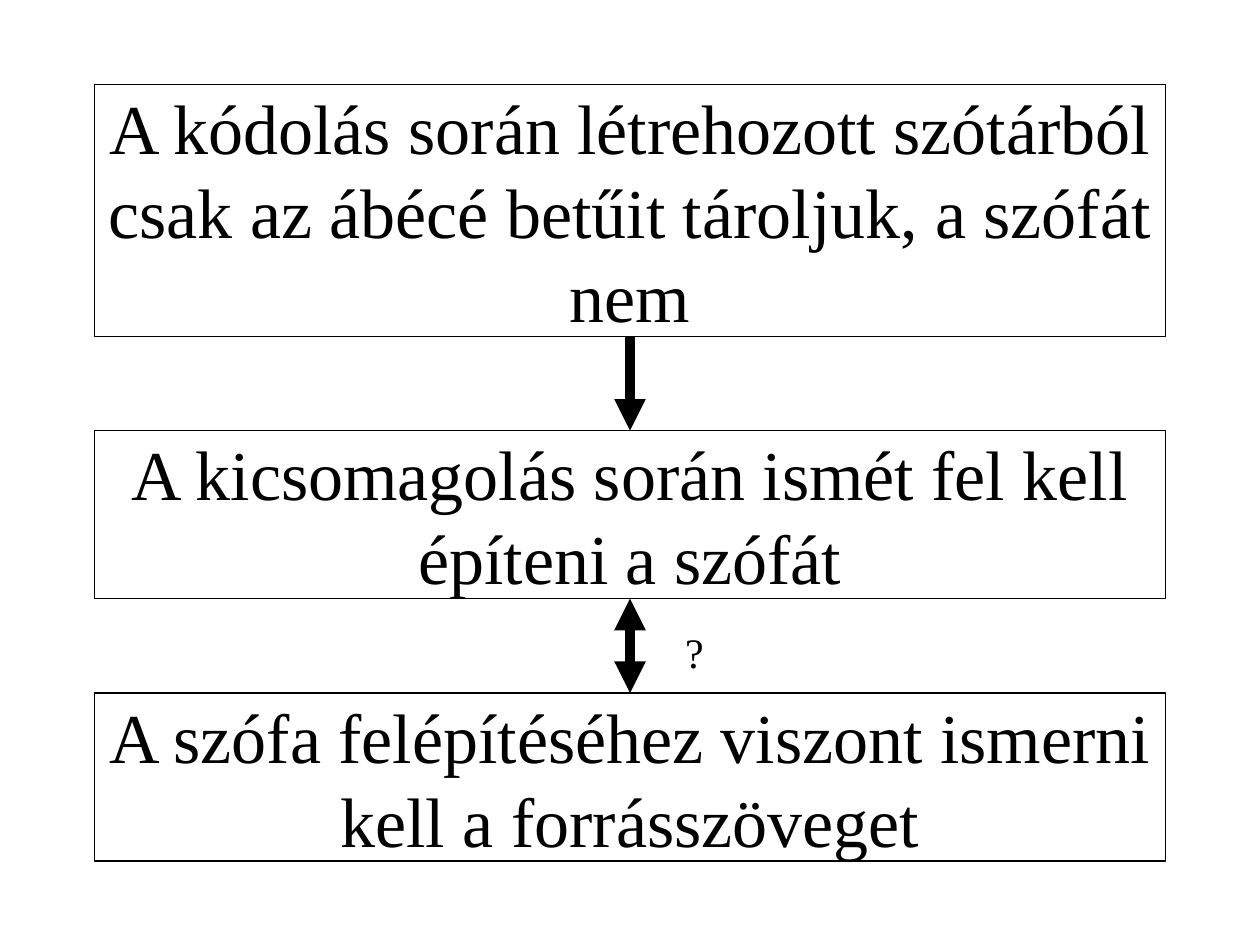
import dataclasses

import lxml.etree
import pptx
import pptx.dml.color
import pptx.enum.shapes
import pptx.enum.text
import pptx.oxml.ns
import pptx.util
from pptx.util import Cm


@dataclasses.dataclass(frozen=True)
class Theme:
    """Colours, font and sizes of the slide."""
    ink: pptx.dml.color.RGBColor = pptx.dml.color.RGBColor(0, 0, 0)
    font: str = "Times New Roman"
    statement_size: int = 40
    mark_size: int = 24
    leading: float = 1.2
    border: float = 0.75
    arrow: float = 6


class SlideBuilder:
    """Draws statements, arrows and marks on the current slide."""

    def __init__(self, slide, theme):
        self.slide = slide
        self.theme = theme

    def set_text(self, shape, text, size, alignment):
        """Put one styled paragraph into a shape."""
        paragraph = shape.text_frame.paragraphs[0]
        paragraph.text = text
        paragraph.alignment = alignment
        paragraph.line_spacing = pptx.util.Pt(size * self.theme.leading)
        paragraph.font.name = self.theme.font
        paragraph.font.size = pptx.util.Pt(size)
        paragraph.font.color.rgb = self.theme.ink

    def statement(self, text, left, top, width, height):
        """Add an outlined box with centred text."""
        shape = self.slide.shapes.add_shape(
            pptx.enum.shapes.MSO_SHAPE.RECTANGLE, left, top, width, height)
        shape.shadow.inherit = False
        shape.fill.background()
        shape.line.color.rgb = self.theme.ink
        shape.line.width = pptx.util.Pt(self.theme.border)
        shape.text_frame.word_wrap = True
        shape.text_frame.vertical_anchor = pptx.enum.text.MSO_ANCHOR.MIDDLE
        self.set_text(shape, text, self.theme.statement_size, pptx.enum.text.PP_ALIGN.CENTER)

    def arrow(self, x, top, bottom, ends):
        """Add a thick vertical line with triangles at the named ends."""
        connector = self.slide.shapes.add_connector(
            pptx.enum.shapes.MSO_CONNECTOR.STRAIGHT, x, top, x, bottom)
        connector.line.color.rgb = self.theme.ink
        connector.line.width = pptx.util.Pt(self.theme.arrow)
        properties = connector._element.spPr
        line = properties.find(pptx.oxml.ns.qn("a:ln"))
        for end in ends:
            lxml.etree.SubElement(line, pptx.oxml.ns.qn(f"a:{end}"), type="triangle")
        lxml.etree.SubElement(properties, pptx.oxml.ns.qn("a:effectLst"))

    def mark(self, text, left, top, width, height):
        """Add a small unwrapped text."""
        shape = self.slide.shapes.add_textbox(left, top, width, height)
        shape.text_frame.word_wrap = False
        shape.text_frame.auto_size = pptx.enum.text.MSO_AUTO_SIZE.SHAPE_TO_FIT_TEXT
        self.set_text(shape, text, self.theme.mark_size, pptx.enum.text.PP_ALIGN.LEFT)


def main():
    """Build and save the slide."""
    presentation = pptx.Presentation()
    presentation.slide_width, presentation.slide_height = Cm(25.4), Cm(19.05)
    slide = presentation.slides.add_slide(presentation.slide_layouts[6])
    builder = SlideBuilder(slide, Theme())

    left, width, gap = Cm(1.9), Cm(21.6), Cm(1.9)
    top = Cm(1.7)
    steps = [
        ("A kódolás során létrehozott szótárból csak az ábécé betűit tároljuk, a szófát nem",
         Cm(5.08), ["tailEnd"]),
        ("A kicsomagolás során ismét fel kell építeni a szófát",
         Cm(3.39), ["headEnd", "tailEnd"]),
        ("A szófa felépítéséhez viszont ismerni kell a forrásszöveget", Cm(3.39), []),
    ]
    for text, height, arrow_ends in steps:
        builder.statement(text, left, top, width, height)
        bottom = top + height
        top = bottom + gap
        if arrow_ends:
            builder.arrow(left + width // 2, bottom, top, arrow_ends)
    builder.mark("?", Cm(13.56), Cm(12.5), Cm(0.89), Cm(1.27))

    presentation.save("out.pptx")


if __name__ == "__main__":
    main()
